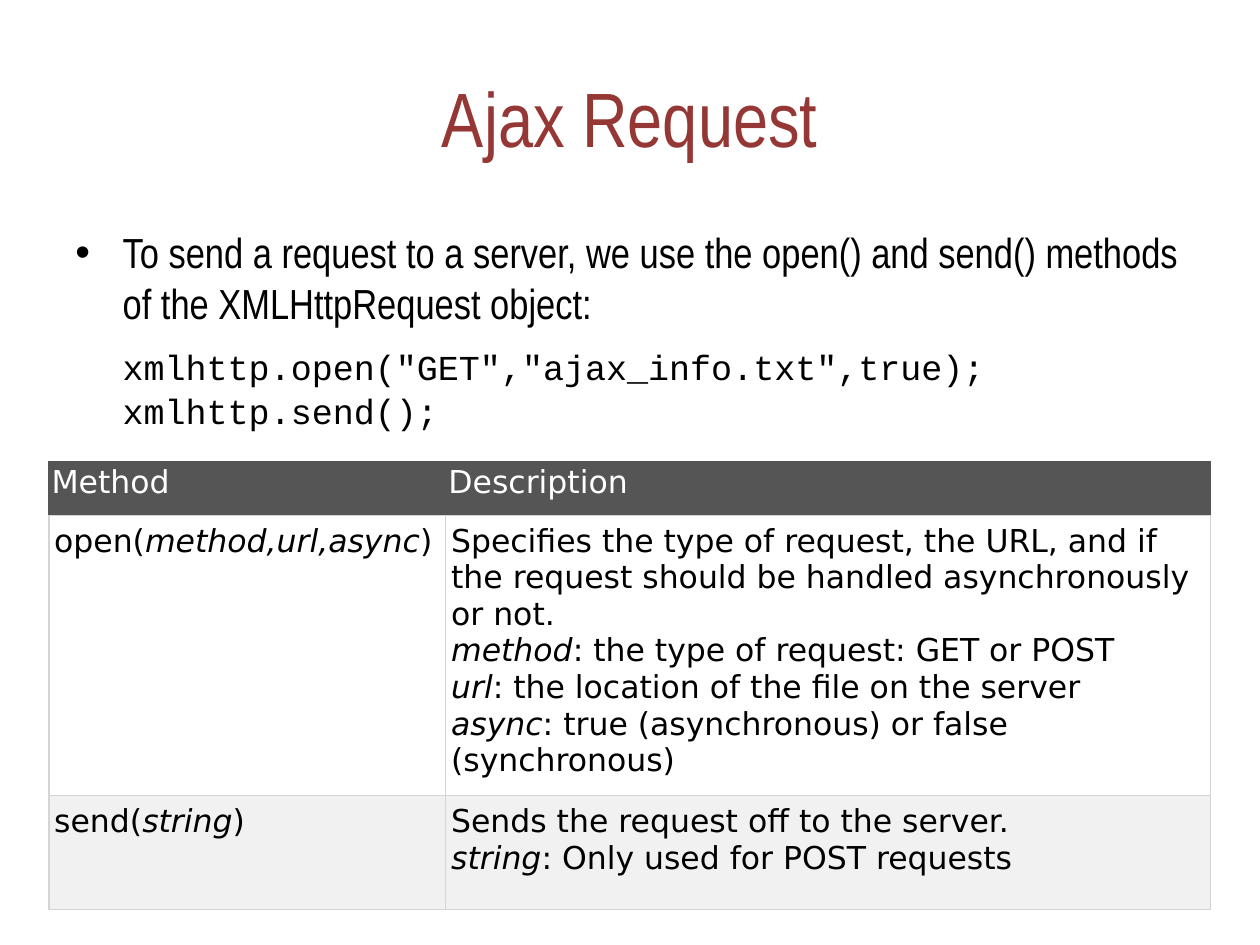
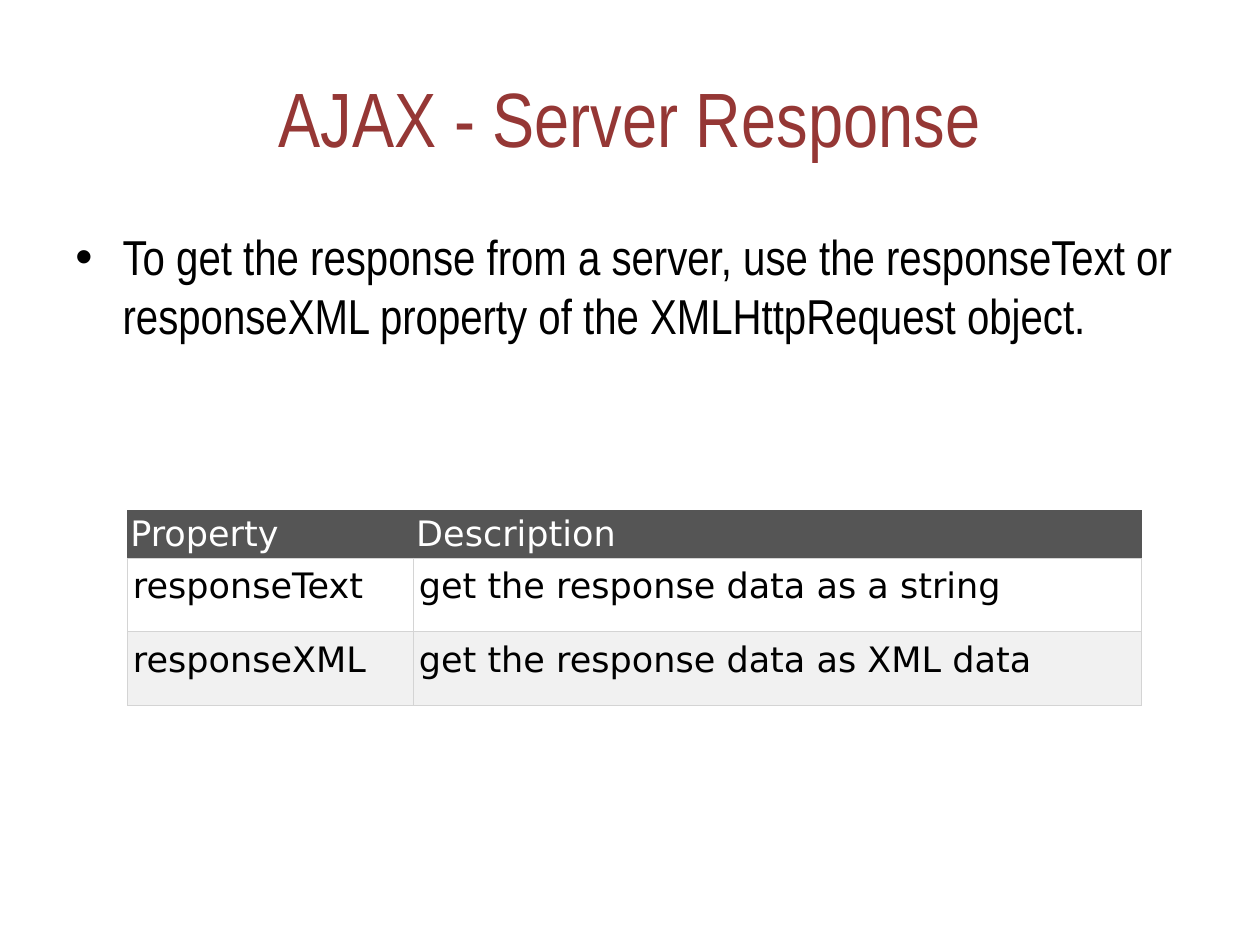
from lxml import etree
from pptx import Presentation
from pptx.dml.color import RGBColor
from pptx.enum.text import MSO_ANCHOR, PP_ALIGN
from pptx.oxml.ns import qn
from pptx.util import Pt

MIDDLE, TOP = MSO_ANCHOR.MIDDLE, MSO_ANCHOR.TOP
CENTER = PP_ALIGN.CENTER

TITLE_RED = RGBColor(0x95, 0x37, 0x35)
BLACK = RGBColor(0x00, 0x00, 0x00)
WHITE = RGBColor(0xFF, 0xFF, 0xFF)
HEADER_GREY = RGBColor(0x55, 0x55, 0x55)
BAND_GREY = RGBColor(0xF1, 0xF1, 0xF1)
GRID_GREY = RGBColor(0xD4, 0xD4, 0xD4)

TEXT_FONT, CODE_FONT, TABLE_FONT = "Arial Narrow", "Courier New", "DejaVu Sans"
TITLE_BOX = (36, 21.6, 648, 90)
BODY_BOX = (36, 126, 648, 356.4)
BODY_INDENT = 27


def write(para, text, font, size, color):
    """Fill a paragraph; *stars* mark italics and newlines become line breaks."""
    for number, line in enumerate(text.split("\n")):
        if number:
            para.add_line_break()
        for part, words in enumerate(line.split("*")):
            if words:
                span = para.add_run()
                span.text = words
                span.font.name = font
                span.font.size = Pt(size)
                span.font.color.rgb = color
                span.font.italic = part % 2 == 1


def indent(para, bullet):
    properties = para._p.get_or_add_pPr()
    properties.set("marL", str(Pt(BODY_INDENT)))
    if bullet:
        properties.set("indent", str(-Pt(BODY_INDENT)))
        etree.SubElement(properties, qn("a:buFont"), typeface="Arial")
        etree.SubElement(properties, qn("a:buChar"), char="•")


def add_text_frame(page, box, anchor):
    frame = page.shapes.add_textbox(*map(Pt, box)).text_frame
    frame.word_wrap = True
    frame.vertical_anchor = anchor
    return frame


def add_title(page, text):
    para = add_text_frame(page, TITLE_BOX, MIDDLE).paragraphs[0]
    para.alignment = CENTER
    write(para, text, TEXT_FONT, 44, TITLE_RED)


def add_body(page, text, size, code=None):
    frame = add_text_frame(page, BODY_BOX, TOP)
    para = frame.paragraphs[0]
    indent(para, bullet=True)
    write(para, text, TEXT_FONT, size, BLACK)
    if code:
        para = frame.add_paragraph()
        indent(para, bullet=False)
        para.space_before = Pt(9.4)
        para.line_spacing = Pt(25)
        write(para, code, CODE_FONT, 20, BLACK)


def add_borders(cell, side_color):
    properties = cell._tc.get_or_add_tcPr()
    for side in "LRTB":
        color = GRID_GREY if side == "B" else side_color
        line = etree.SubElement(properties, qn(f"a:ln{side}"), w=str(Pt(0.75)))
        fill = etree.SubElement(line, qn("a:solidFill"))
        etree.SubElement(fill, qn("a:srgbClr"), val=str(color))


def style_cell(cell, fill, border, margin_x, margin_y):
    add_borders(cell, border)
    cell.fill.solid()
    cell.fill.fore_color.rgb = fill
    cell.margin_left = cell.margin_right = Pt(margin_x)
    cell.margin_top = cell.margin_bottom = Pt(margin_y)


def add_reference_table(page, left, top, widths, heights, size, rows):
    frame = page.shapes.add_table(len(rows), len(widths), Pt(left), Pt(top),
                                  Pt(sum(widths)), Pt(sum(heights)))
    table = frame.table
    table.horz_banding = False
    for column, width in zip(table.columns, widths):
        column.width = Pt(width)
    for row_number, (texts, height) in enumerate(zip(rows, heights)):
        table.rows[row_number].height = Pt(height)
        for column_number, text in enumerate(texts):
            cell = table.cell(row_number, column_number)
            if row_number == 0:
                style_cell(cell, HEADER_GREY, HEADER_GREY, 1.5, 1.5)
            else:
                fill = WHITE if row_number % 2 else BAND_GREY
                style_cell(cell, fill, GRID_GREY, 3, 4.5)
            write(cell.text_frame.paragraphs[0], text, TABLE_FONT, size,
                  BLACK if row_number else WHITE)


def add_page(deck, title):
    page = deck.slides.add_slide(deck.slide_layouts[6])
    add_title(page, title)
    return page


def build_request_page(deck):
    page = add_page(deck, "Ajax Request")
    add_body(
        page,
        "To send a request to a server, we use the open() and send() methods "
        "of the XMLHttpRequest object:",
        24,
        code='xmlhttp.open("GET","ajax_info.txt",true);\nxmlhttp.send();',
    )
    add_reference_table(page, 28, 264, (226.8, 437), (30.5, 154.8, 65.3), 18, [
        ("Method", "Description"),
        ("open(*method,url,async*)",
         "Specifies the type of request, the URL, and if the request should be "
         "handled asynchronously or not.\n"
         "*method*: the type of request: GET or POST\n"
         "*url*: the location of the file on the server\n"
         "*async*: true (asynchronous) or false (synchronous)"),
        ("send(*string*)",
         "Sends the request off to the server.\n"
         "*string*: Only used for POST requests"),
    ])


def build_response_page(deck):
    page = add_page(deck, "AJAX - Server Response")
    add_body(
        page,
        "To get the response from a server, use the responseText or "
        "responseXML property of the XMLHttpRequest object.",
        28,
    )
    add_reference_table(page, 73, 292, (163.4, 416), (27, 42, 42), 20, [
        ("Property", "Description"),
        ("responseText", "get the response data as a string"),
        ("responseXML", "get the response data as XML data"),
    ])


def main():
    deck = Presentation()
    deck.slide_width, deck.slide_height = Pt(720), Pt(540)
    build_request_page(deck)
    build_response_page(deck)
    deck.save("out.pptx")


if __name__ == "__main__":
    main()
